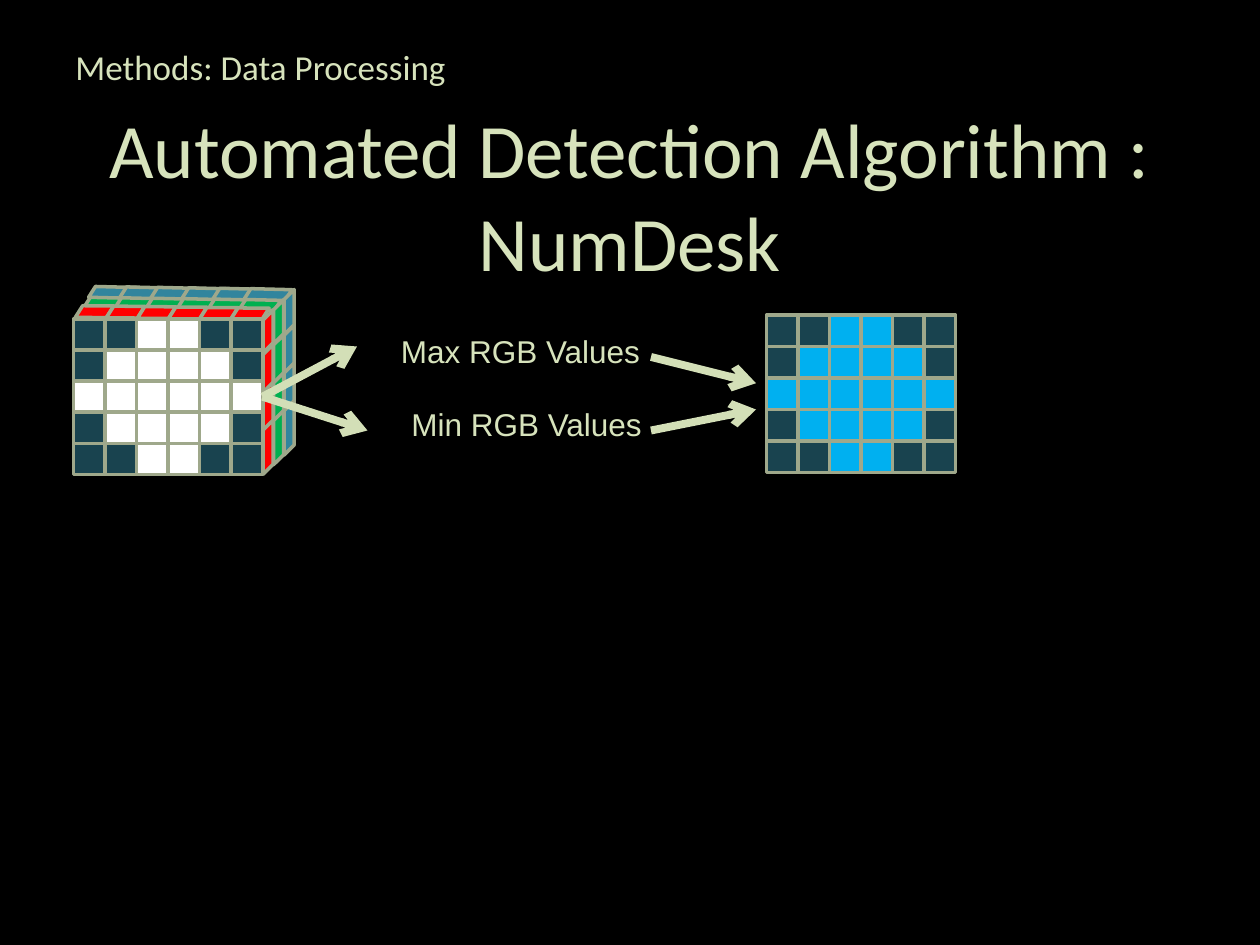
import pptx
import pptx.util
import pptx.dml.color
import pptx.enum.shapes
import pptx.enum.text
import pptx.oxml
import pptx.oxml.ns

Pt = pptx.util.Pt
SHAPE = pptx.enum.shapes.MSO_SHAPE
COLORS = {
    "background": "000000", "text": "D7E3BC", "arrow": "D3DFB7", "edge": "9FA88B",
    "dark": "19434F", "white": "FFFFFF", "cyan": "00B0F0",
    "red": "FF0000", "green": "00B050", "blue": "32859D",
}
PATTERN = ["..##..", ".####.", "######", ".####.", "..##.."]
TOP_LAYERS = [
    ("green", 50.4, 163.4, 20.2, 17.3),
    ("blue", 54.7, 157, 19.4, 20.2),
    ("red", 45.4, 170.6, 17.3, 15.1),
]
SIDE_LAYERS = ["red", "green", "blue"]
SIDE_CENTERS = [189.4, 212.4, 234, 255.6]


def color(name):
    return pptx.dml.color.RGBColor.from_string(COLORS[name])


class SlideBuilder:
    def __init__(self, prs):
        self.slide = prs.slides.add_slide(prs.slide_layouts[5])
        fill = self.slide.background.fill
        fill.solid()
        fill.fore_color.rgb = color("background")

    def style_text(self, tf, text, size, font, anchor):
        tf.word_wrap = True
        tf.vertical_anchor = anchor
        p = tf.paragraphs[0]
        p.text = text
        p.font.size = Pt(size)
        p.font.name = font
        p.font.color.rgb = color("text")
        return p

    def title(self, text, x, y, w, h):
        sp = self.slide.shapes.title
        sp.left, sp.top, sp.width, sp.height = Pt(x), Pt(y), Pt(w), Pt(h)
        sp.text_frame.auto_size = pptx.enum.text.MSO_AUTO_SIZE.NONE
        p = self.style_text(sp.text_frame, text, 44, "Calibri", pptx.enum.text.MSO_ANCHOR.MIDDLE)
        p.alignment = pptx.enum.text.PP_ALIGN.CENTER

    def text(self, text, x, y, w, h, size, font, anchor=pptx.enum.text.MSO_ANCHOR.TOP):
        sp = self.slide.shapes.add_textbox(Pt(x), Pt(y), Pt(w), Pt(h))
        self.style_text(sp.text_frame, text, size, font, anchor)

    def group(self):
        return self.slide.shapes.add_group_shape()

    def cell(self, group, kind, fill, x, y, w, h):
        sp = group.shapes.add_shape(kind, Pt(x), Pt(y), Pt(w), Pt(h))
        sp.shadow.inherit = False
        sp.fill.solid()
        sp.fill.fore_color.rgb = color(fill)
        sp.line.color.rgb = color("edge")
        sp.line.width = Pt(2)
        return sp

    def slanted(self, group, fill, x, y, w, h, rotation, slant, flip):
        sp = self.cell(group, SHAPE.PARALLELOGRAM, fill, x, y, w, h)
        sp.adjustments[0] = slant
        sp.rotation = rotation
        sp._element.spPr.xfrm.set(flip, "1")

    def grid(self, group, x, y, w, h, mark):
        return [
            [
                self.cell(group, SHAPE.RECTANGLE, mark if c == "#" else "dark",
                          x + col * w, y + row * h, w, h)
                for col, c in enumerate(line)
            ]
            for row, line in enumerate(PATTERN)
        ]

    def arrow(self, x1, y1, x2, y2, source=None):
        cn = self.slide.shapes.add_connector(
            pptx.enum.shapes.MSO_CONNECTOR.STRAIGHT, Pt(x1), Pt(y1), Pt(x2), Pt(y2))
        if source is not None:
            cn.begin_connect(source, 3)
        cn.line.color.rgb = color("arrow")
        cn.line.width = Pt(4.5)
        tail = pptx.oxml.parse_xml(
            "<a:tailEnd %s type='arrow'/>" % pptx.oxml.ns.nsdecls("a"))
        cn.line._get_or_add_ln().append(tail)
        cn._element.spPr.append(
            pptx.oxml.parse_xml("<a:effectLst %s/>" % pptx.oxml.ns.nsdecls("a")))


def draw_cube(s):
    cube = s.group()
    for col in range(6):
        for name, x, y, w, h in TOP_LAYERS:
            s.slanted(cube, name, x + col * 17.75, y + col * 0.25, w, h, 302.3, 0.623, "flipH")
    for layer, name in enumerate(SIDE_LAYERS):
        center_x = 153.2 + layer * 6
        for row, center in enumerate(SIDE_CENTERS):
            length = 31 if row else 24.5 + layer * 0.7
            center_y = center - layer * 5.5
            s.slanted(cube, name, center_x - length / 2, center_y - 2.9, length, 5.8,
                      270, 0.993, "flipV")
    return s.grid(cube, 42, 182.2, 18, 17.8, "white")


def main():
    prs = pptx.Presentation()
    prs.slide_width, prs.slide_height = Pt(720), Pt(540)
    s = SlideBuilder(prs)

    front = draw_cube(s)
    s.text("Methods: Data Processing", 36, 21.6, 372, 32.4, 20, "Calibri",
           pptx.enum.text.MSO_ANCHOR.MIDDLE)
    s.title("Automated Detection Algorithm : NumDesk", 36, 66, 648, 90)
    for x, y in [(204, 198), (210, 246)]:
        s.arrow(150, 225, x, y, front[2][5])
    s.text("Max RGB Values", 222, 186, 162, 29, 18, "Arial")
    s.text("Min RGB Values", 228, 228, 162, 29, 18, "Arial")
    s.grid(s.group(), 438, 180, 18, 18, "cyan")
    for y1, y2 in [(204, 219), (246, 234)]:
        s.arrow(372, y1, 432, y2)

    prs.save("out.pptx")


if __name__ == "__main__":
    main()
